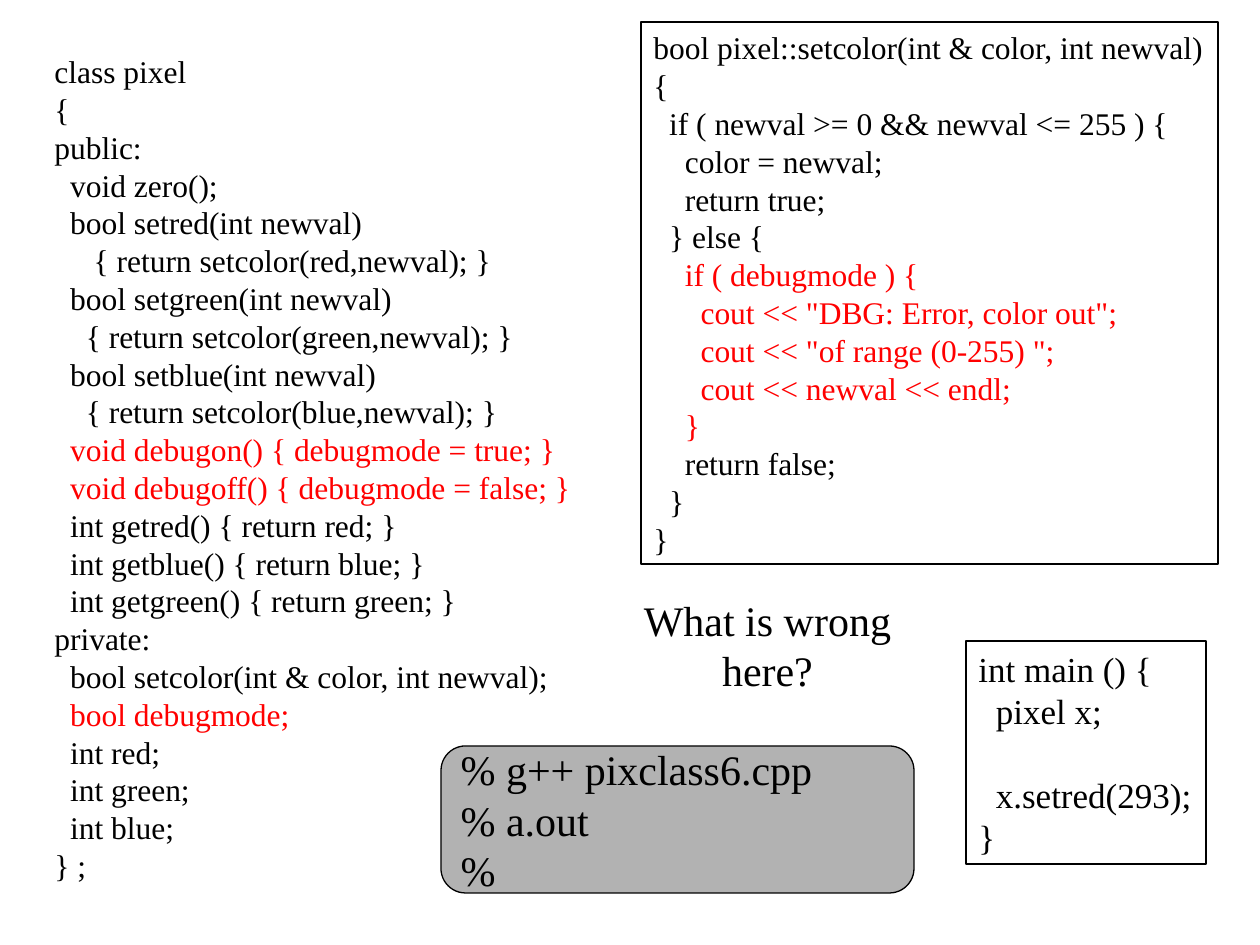
import pptx
import pptx.util
from pptx.dml.color import RGBColor
from pptx.enum.shapes import MSO_SHAPE
from pptx.enum.text import MSO_ANCHOR, MSO_AUTO_SIZE, PP_ALIGN

BLACK = RGBColor(0, 0, 0)
RED = RGBColor(255, 0, 0)
GRAY = RGBColor(178, 178, 178)
FONT = "Times New Roman"
PX = 914400 / 126

CLASS_CODE = """class pixel
{
public:
  void zero();
  bool setred(int newval)
     { return setcolor(red,newval); }
  bool setgreen(int newval)
    { return setcolor(green,newval); }
  bool setblue(int newval)
    { return setcolor(blue,newval); }
  void debugon() { debugmode = true; }
  void debugoff() { debugmode = false; }
  int getred() { return red; }
  int getblue() { return blue; }
  int getgreen() { return green; }
private:
  bool setcolor(int & color, int newval);
  bool debugmode;
  int red;
  int green;
  int blue;
} ;"""

SETCOLOR_CODE = """bool pixel::setcolor(int & color, int newval)
{
  if ( newval >= 0 && newval <= 255 ) {
    color = newval;
    return true;
  } else {
    if ( debugmode ) {
      cout << "DBG: Error, color out";
      cout << "of range (0-255) ";
      cout << newval << endl;
    }
    return false;
  }
}"""

MAIN_CODE = """int main () {
  pixel x;

  x.setred(293);
}"""

TERMINAL = """% g++ pixclass6.cpp
% a.out
%"""

QUESTION = "What is wrong here?"

CLASS_RED_LINES = {10, 11, 17}
SETCOLOR_RED_LINES = range(6, 11)


def px(length):
    return pptx.util.Emu(round(length * PX))


def write(box, text, size, red_lines=(), grow=True):
    frame = box.text_frame
    frame.word_wrap = False
    frame.auto_size = MSO_AUTO_SIZE.SHAPE_TO_FIT_TEXT if grow else MSO_AUTO_SIZE.NONE
    frame.vertical_anchor = MSO_ANCHOR.MIDDLE
    frame.text = text
    for number, line in enumerate(frame.paragraphs):
        line.alignment = PP_ALIGN.LEFT
        line.font.name = FONT
        line.font.size = pptx.util.Pt(size)
        line.font.color.rgb = RED if number in red_lines else BLACK
    return frame


def add_text(slide, place):
    return slide.shapes.add_textbox(*map(px, place))


def add_panel(slide, place, preset=MSO_SHAPE.RECTANGLE, fill=None):
    panel = slide.shapes.add_shape(preset, *map(px, place))
    panel.shadow.inherit = False
    if fill is None:
        panel.fill.background()
    else:
        panel.fill.solid()
        panel.fill.fore_color.rgb = fill
    panel.line.color.rgb = BLACK
    panel.line.width = pptx.util.Pt(0.75)
    return panel


def main():
    deck = pptx.Presentation()
    deck.slide_width, deck.slide_height = px(1260), px(945)
    slide = deck.slides.add_slide(deck.slide_layouts[6])

    write(add_text(slide, (42, 46, 542, 844)), CLASS_CODE, 18, CLASS_RED_LINES)
    write(add_panel(slide, (641, 22, 577, 542)), SETCOLOR_CODE, 18, SETCOLOR_RED_LINES)
    write(add_panel(slide, (966, 641, 240, 223)), MAIN_CODE, 20)

    question = write(add_text(slide, (598, 588, 339, 113)), QUESTION, 24)
    question.word_wrap = True
    question.paragraphs[0].alignment = PP_ALIGN.CENTER

    terminal = add_panel(slide, (441, 746, 473, 147), MSO_SHAPE.ROUNDED_RECTANGLE, GRAY)
    write(terminal, TERMINAL, 24, grow=False)

    deck.save("out.pptx")


if __name__ == "__main__":
    main()
